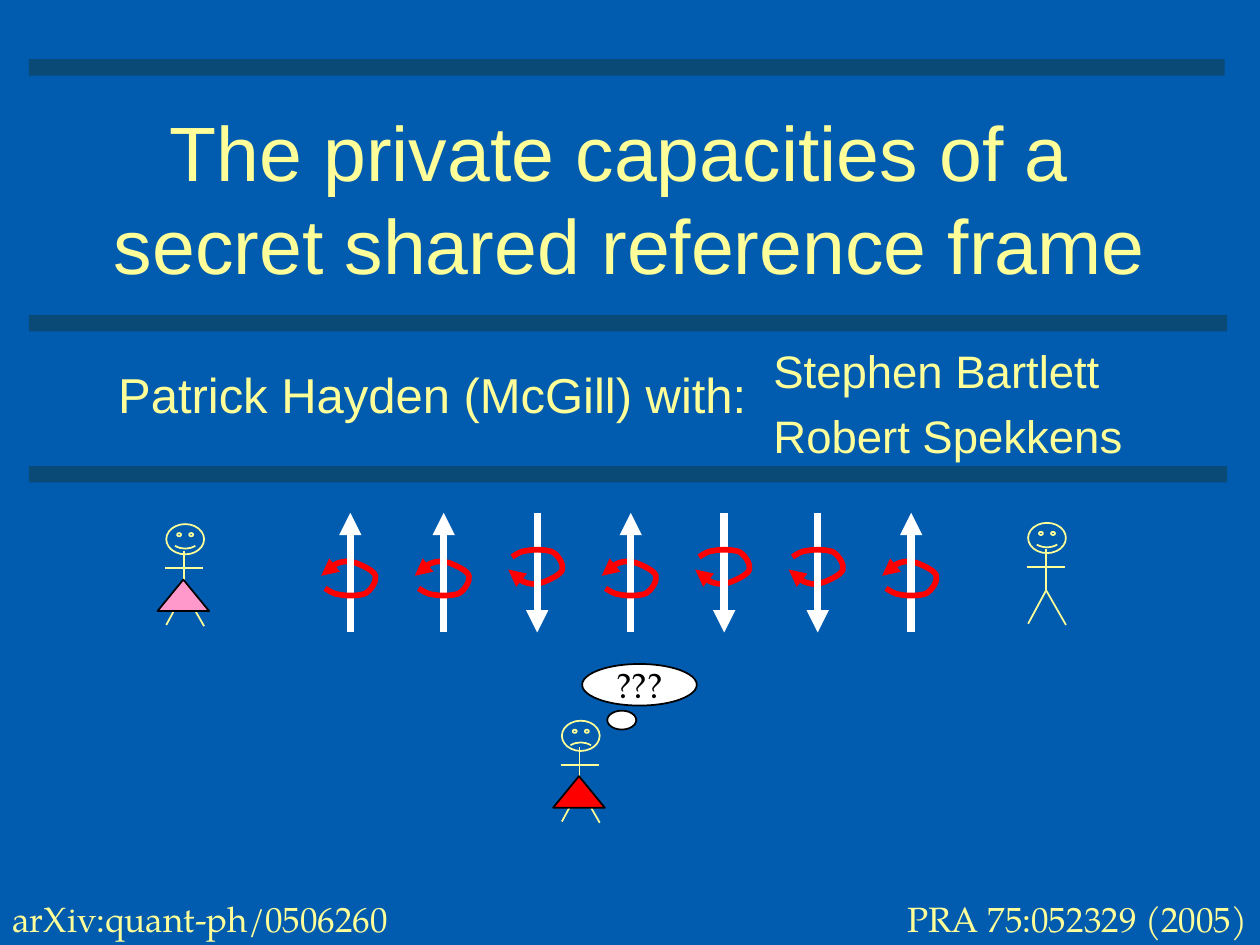
from pptx import Presentation
from pptx.dml.color import RGBColor
from pptx.enum.shapes import MSO_SHAPE as Kind, MSO_CONNECTOR as Link
from pptx.enum.text import PP_ALIGN as Align, MSO_ANCHOR as Anchor
from pptx.util import Inches, Pt
from lxml.etree import SubElement
from pptx.oxml.ns import qn

hue = RGBColor.from_string
CREAM, WHITE, BLACK, RED = "FFFF99", "FFFFFF", "000000", "FF0000"
BLUE, TEAL = "015CAF", "094A77"
SANS, SERIF = "Arial", "TeX Gyre Pagella"

deck = Presentation()
deck.slide_width, deck.slide_height = Inches(10), Inches(7.5)
slide = deck.slides.add_slide(deck.slide_layouts[6])
slide.background.fill.solid()
slide.background.fill.fore_color.rgb = hue(BLUE)
shapes = slide.shapes


def ink(item, fill=None, edge=None, width=1, tip=False):
    if hasattr(item, "fill"):
        if fill:
            item.fill.solid()
            item.fill.fore_color.rgb = hue(fill)
        else:
            item.fill.background()
    if edge:
        item.line.color.rgb = hue(edge)
        item.line.width = Pt(width)
    else:
        item.line.fill.background()
    props = item._element.spPr
    if tip:
        SubElement(props.find(qn("a:ln")), qn("a:tailEnd"), type="triangle")
    SubElement(props, qn("a:effectLst"))


def rod(group, x1, y1, x2, y2, edge, width=1, tip=False):
    ends = [Inches(v) for v in (x1, y1, x2, y2)]
    ink(group.shapes.add_connector(Link.STRAIGHT, *ends), None, edge, width, tip)


for left, top, wide, high, fill in (
    (0.25, 1.51, 9.48, 0.32, BLUE),
    (0.23, 0.47, 9.49, 0.13, TEAL),
    (0.23, 2.5, 9.51, 0.13, TEAL),
    (0.23, 3.7, 9.51, 0.13, TEAL),
):
    box = [Inches(v) for v in (left, top, wide, high)]
    ink(shapes.add_shape(Kind.RECTANGLE, *box), fill)

curl = [
    (-0.2, 4.67),
    (-0.18, 4.68), (-0.13, 4.72), (-0.08, 4.72),
    (-0.03, 4.73), (0.07, 4.73), (0.12, 4.71),
    (0.17, 4.68), (0.21, 4.61), (0.2, 4.57),
    (0.19, 4.53), (0.1, 4.49), (0.05, 4.47),
    (0, 4.45), (-0.05, 4.45), (-0.1, 4.47),
    (-0.14, 4.49), (-0.2, 4.55), (-0.23, 4.57),
]
for i, spin in enumerate("duuuddu"):
    x = 2.78 + 0.742 * (2, 0, 1, 3, 4, 5, 6)[i]
    flip = spin == "d"
    base, peak, mid, high = [9.09 - y if flip else y for y in (5.02, 4.07, 4.54, 4.19)]
    group = shapes.add_group_shape()
    rod(group, x, base, x, peak, WHITE, 4.25, True)
    dots = [(Inches(x + dx), Inches(9.09 - y if flip else y)) for dx, y in curl]
    pen = group.shapes.build_freeform(*dots[0])
    pen.add_line_segments(dots[1:], close=False)
    loop = pen.convert_to_shape()
    ink(loop, None, RED, 3.25, True)
    trace = next(loop._element.iter(qn("a:path")))
    lines = trace.findall(qn("a:lnTo"))
    for k in range(0, len(lines), 3):
        curve = SubElement(trace, qn("a:cubicBezTo"))
        for line in lines[k:k + 3]:
            curve.append(line[0])
            trace.remove(line)
    rod(group, x, mid, x, high, WHITE, 4.25)

limbs = (
    (0.14, 0.54, 0, 0.8),
    (0.14, 0.53, 0.14, 0.21),
    (0.14, 0.53, 0.3, 0.81),
    (-0.01, 0.35, 0.29, 0.35),
)
for x, y, smile, skirt in (
    (1.32, 4.16, 0.05, "FF99CC"),
    (8.16, 4.15, 0.05, None),
    (4.46, 5.72, -0.05, RED),
):
    group = shapes.add_group_shape()
    for x1, y1, x2, y2 in limbs:
        rod(group, x + x1, y + y1, x + x2, y + y2, CREAM)
    box = [Inches(v) for v in (x, y, 0.3, 0.24)]
    head = group.shapes.add_shape(Kind.SMILEY_FACE, *box)
    head.adjustments[0] = smile
    ink(head, None, CREAM)
    if skirt:
        box = [Inches(v) for v in (x - 0.07, y + 0.44, 0.41, 0.25)]
        ink(group.shapes.add_shape(Kind.ISOSCELES_TRIANGLE, *box), skirt, BLACK)

clouds = []
for spot in ((4.62, 5.27, 0.91, 0.33), (4.82, 5.64, 0.23, 0.15)):
    cloud = shapes.add_shape(Kind.OVAL, *[Inches(v) for v in spot])
    ink(cloud, WHITE, BLACK)
    clouds.append(cloud)

title = "The private capacities of a \vsecret shared reference frame"
notes = (
    ((0, 0.62, 10, 1.89), [title], 44, SANS, Align.CENTER, 0),
    ((0.84, 2.84, 5.53, 0.73), ["Patrick Hayden (McGill) with:"], 28, SANS, Align.LEFT, 7),
    ((4.18, 7.07, 5.82, 0.44), ["PRA 75:052329 (2005)"], 20, SERIF, Align.RIGHT, 0),
    (None, ["???"], 20, SERIF, Align.CENTER, 0),
    ((6.04, 2.67, 5.53, 0.73), ["Stephen Bartlett", "Robert Spekkens"], 26, SANS, Align.LEFT, 6.5),
    ((0, 7.07, 3.43, 0.44), ["arXiv:quant-ph/0506260"], 20, SERIF, Align.LEFT, 0),
)
for spot, lines, size, face, side, gap in notes:
    item = shapes.add_textbox(*[Inches(v) for v in spot]) if spot else clouds[0]
    frame = item.text_frame
    frame.word_wrap = bool(spot)
    frame.vertical_anchor = Anchor.MIDDLE if side == Align.CENTER else Anchor.TOP
    for i, line in enumerate(lines):
        para = frame.add_paragraph() if i else frame.paragraphs[0]
        para.text = line
        para.alignment = side
        para.space_before = Pt(gap)
        for run in para.runs:
            for key, value in {"size": Pt(size), "name": face}.items():
                setattr(run.font, key, value)
            run.font.color.rgb = hue(CREAM if spot else BLACK)

deck.save("out.pptx")
